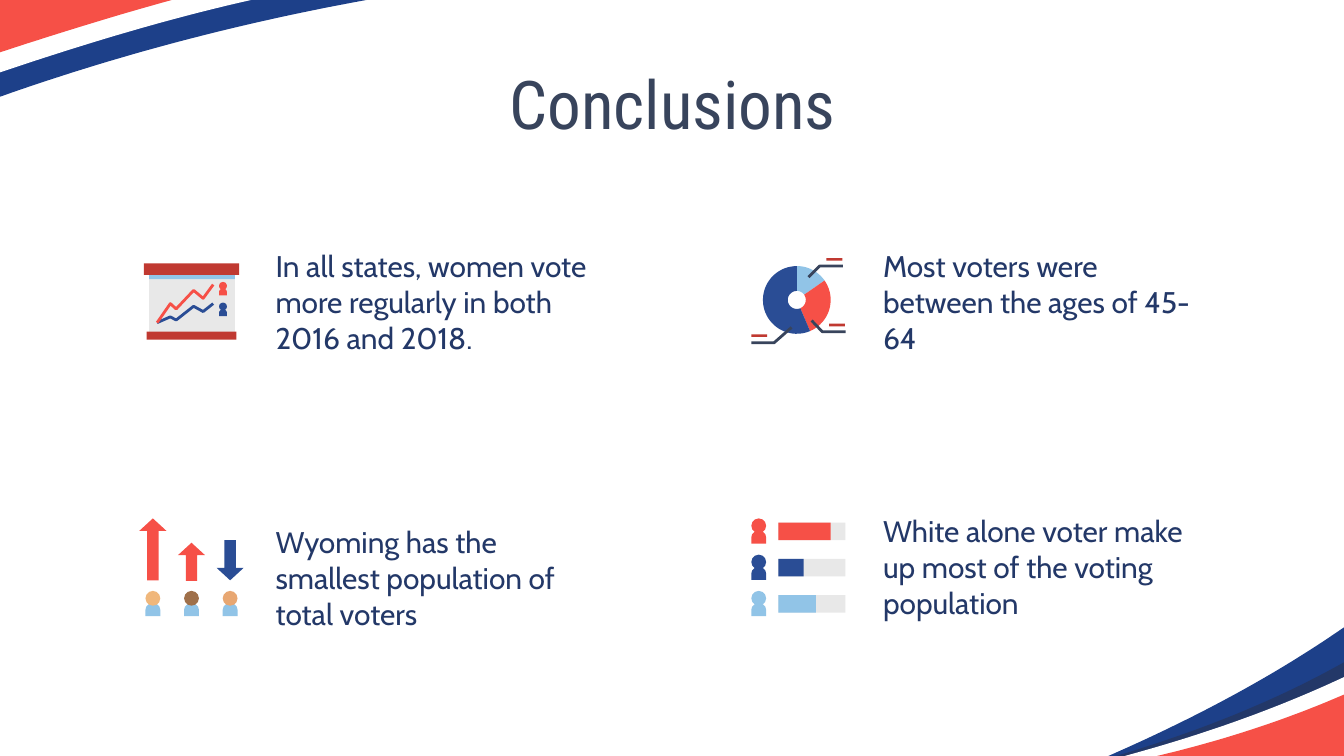
from math import cos, radians, sin

from pptx import Presentation
from pptx.dml.color import RGBColor
from pptx.enum.shapes import MSO_SHAPE
from pptx.enum.text import MSO_ANCHOR, PP_ALIGN
from pptx.util import Cm, Pt

WIDTH, HEIGHT = 25.4, 14.29
RED, BRICK, BLUE, NAVY, DARK = "F65047", "C03931", "1D4089", "2A4D95", "233868"
SKY, GREY, SLATE, WHITE = "91C4E7", "E8E8E8", "38445C", "FFFFFF"

TITLE = ("Conclusions", (2.01, 1.14, 21.41, 1.6))
STATEMENTS = [
    ("In all states, women vote more regularly in both 2016 and 2018.", 5.21, 4.98),
    ("Most voters were between the ages of 45-64", 16.69, 4.98),
    ("Wyoming has the smallest population of total voters", 5.21, 10.19),
    ("White alone voter make up most of the voting population", 16.69, 9.98),
]
TOP_SWEEPS = [
    (BLUE, [(6.93, 0), (4.57, 0.43), (2.29, 1.02), (0, 1.83)]),
    (WHITE, [(4.75, 0), (3.15, 0.36), (1.57, 0.84), (0, 1.37)]),
    (RED, [(3.25, 0), (2.16, 0.3), (1.07, 0.64), (0, 0.99)]),
]
BOTTOM_SWEEPS = [
    (BLUE, [(20.95, HEIGHT), (22.5, 13.61), (24, 12.83), (WIDTH, 11.86)]),
    (DARK, [(21.1, HEIGHT), (22.6, 13.84), (24.05, 13.28), (WIDTH, 12.52)]),
    (WHITE, [(21.26, HEIGHT), (22.7, 13.9), (24.1, 13.41), (WIDTH, 12.8)]),
    (RED, [(21.87, HEIGHT), (23.1, 14), (24.3, 13.61), (WIDTH, 13.13)]),
]
SCREEN_PARTS = [
    (GREY, (2.82, 5.16, 1.62, 1.15)),
    (SKY, (2.82, 5.18, 1.62, 0.1)),
    (BRICK, (2.77, 6.27, 1.7, 0.15)),
    (BRICK, (2.72, 4.98, 1.8, 0.22)),
]
TREND_X = [2.97, 3.22, 3.33, 3.66, 3.84, 4.03]
TRENDS = [
    (NAVY, [6.1, 5.99, 6.05, 5.79, 5.89, 5.74]),
    (RED, [6.1, 5.74, 5.84, 5.49, 5.64, 5.38]),
]
SCREEN_PEOPLE = [(RED, 5.33), (NAVY, 5.72)]
RING_CENTER, RING_RADIUS, HOLE_RADIUS = (15.06, 5.67), 0.64, 0.17
RING_SECTORS = [(SKY, 0, 55), (RED, 55, 157), (NAVY, 157, 360)]
LEADERS = [
    [(15.28, 5.24), (15.49, 5.03), (15.93, 5.03)],
    [(15.34, 6.06), (15.54, 6.27), (15.98, 6.27)],
    [(14.96, 6.19), (14.63, 6.48), (14.2, 6.48)],
]
LABEL_MARKS = [(15.62, 4.88), (15.67, 6.12), (14.2, 6.32)]
ARROWS = [
    (MSO_SHAPE.UP_ARROW, RED, 9.8, 1.17, "F0B77B"),
    (MSO_SHAPE.UP_ARROW, RED, 10.26, 0.72, "9F704A"),
    (MSO_SHAPE.DOWN_ARROW, NAVY, 10.21, 0.76, "E8A772"),
]
BARS = [(RED, 0.99), (NAVY, 0.48), (SKY, 0.71)]

presentation = Presentation()
presentation.slide_width, presentation.slide_height = Cm(WIDTH), Cm(HEIGHT)
slide = presentation.slides.add_slide(presentation.slide_layouts[6])


def color(value):
    return RGBColor.from_string(value)


def paint(shape, fill):
    shape.shadow.inherit = False
    shape.fill.solid()
    shape.fill.fore_color.rgb = color(fill)
    shape.line.fill.background()


def add_preset(kind, box, fill, adjustments=()):
    shape = slide.shapes.add_shape(kind, *map(Cm, box))
    for index, value in enumerate(adjustments):
        shape.adjustments[index] = value
    paint(shape, fill)


def add_rectangle(box, fill):
    add_preset(MSO_SHAPE.RECTANGLE, box, fill)


def outline(points, close):
    points = [(Cm(x), Cm(y)) for x, y in points]
    builder = slide.shapes.build_freeform(*points[0])
    builder.add_line_segments(points[1:], close=close)
    return builder.convert_to_shape()


def add_polygon(points, fill):
    paint(outline(points, True), fill)


def add_polyline(points, stroke):
    shape = outline(points, False)
    shape.shadow.inherit = False
    shape.fill.background()
    shape.line.color.rgb = color(stroke)
    shape.line.width = Pt(1.5)


def curve(controls, steps=30):
    points = []
    for step in range(steps + 1):
        t = step / steps
        weights = ((1 - t) ** 3, 3 * t * (1 - t) ** 2, 3 * t * t * (1 - t), t ** 3)
        points.append(tuple(sum(w * c for w, c in zip(weights, axis)) for axis in zip(*controls)))
    return points


def arc(radius, start, end):
    x, y = RING_CENTER
    steps = max(2, (end - start) // 5)
    angles = [radians(start + (end - start) * step / steps) for step in range(steps + 1)]
    return [(x + radius * sin(angle), y - radius * cos(angle)) for angle in angles]


def add_person(left, top, size, body, head):
    add_preset(MSO_SHAPE.ROUND_2_SAME_RECTANGLE,
               (left, top + 0.85 * size, size, 0.85 * size), body, (0.5, 0))
    add_preset(MSO_SHAPE.OVAL, (left, top, size, size), head)


def add_text(text, box, *, font, size, fill, align=PP_ALIGN.LEFT):
    frame = slide.shapes.add_textbox(*map(Cm, box)).text_frame
    frame.word_wrap = True
    frame.vertical_anchor = MSO_ANCHOR.MIDDLE
    frame.margin_left = frame.margin_right = frame.margin_top = frame.margin_bottom = 0
    paragraph = frame.paragraphs[0]
    paragraph.alignment = align
    run = paragraph.add_run()
    run.text = text
    run.font.name, run.font.size = font, Pt(size)
    run.font.color.rgb = color(fill)


for sweeps, corner in ((TOP_SWEEPS, (0, 0)), (BOTTOM_SWEEPS, (WIDTH, HEIGHT))):
    for fill, controls in sweeps:
        add_polygon(curve(controls) + [corner], fill)

add_text(*TITLE, font="Roboto Condensed", size=36, fill=SLATE, align=PP_ALIGN.CENTER)
for text, left, top in STATEMENTS:
    add_text(text, (left, top, 6.1, 1.45), font="Cabin", size=16, fill=DARK)

for fill, box in SCREEN_PARTS:
    add_rectangle(box, fill)
for stroke, heights in TRENDS:
    add_polyline(list(zip(TREND_X, heights)), stroke)
for fill, top in SCREEN_PEOPLE:
    add_person(4.14, top, 0.15, fill, fill)

for fill, start, end in RING_SECTORS:
    add_polygon(arc(RING_RADIUS, start, end) + arc(HOLE_RADIUS, start, end)[::-1], fill)
for points in LEADERS:
    add_polyline(points, SLATE)
for left, top in LABEL_MARKS:
    add_rectangle((left, top, 0.3, 0.05), BRICK)

for index, (kind, fill, top, height, skin) in enumerate(ARROWS):
    center = 2.89 + 0.73 * index
    add_preset(kind, (center - 0.255, top, 0.51, height), fill, (0.42, 0.46))
    add_person(center - 0.14, 11.17, 0.28, SKY, skin)

for index, (fill, length) in enumerate(BARS):
    top = 9.88 + 0.685 * index
    add_rectangle((14.71, top, 1.27, 0.33), GREY)
    add_rectangle((14.71, top, length, 0.33), fill)
    add_person(14.2, top - 0.08, 0.28, fill, fill)

presentation.save("out.pptx")
